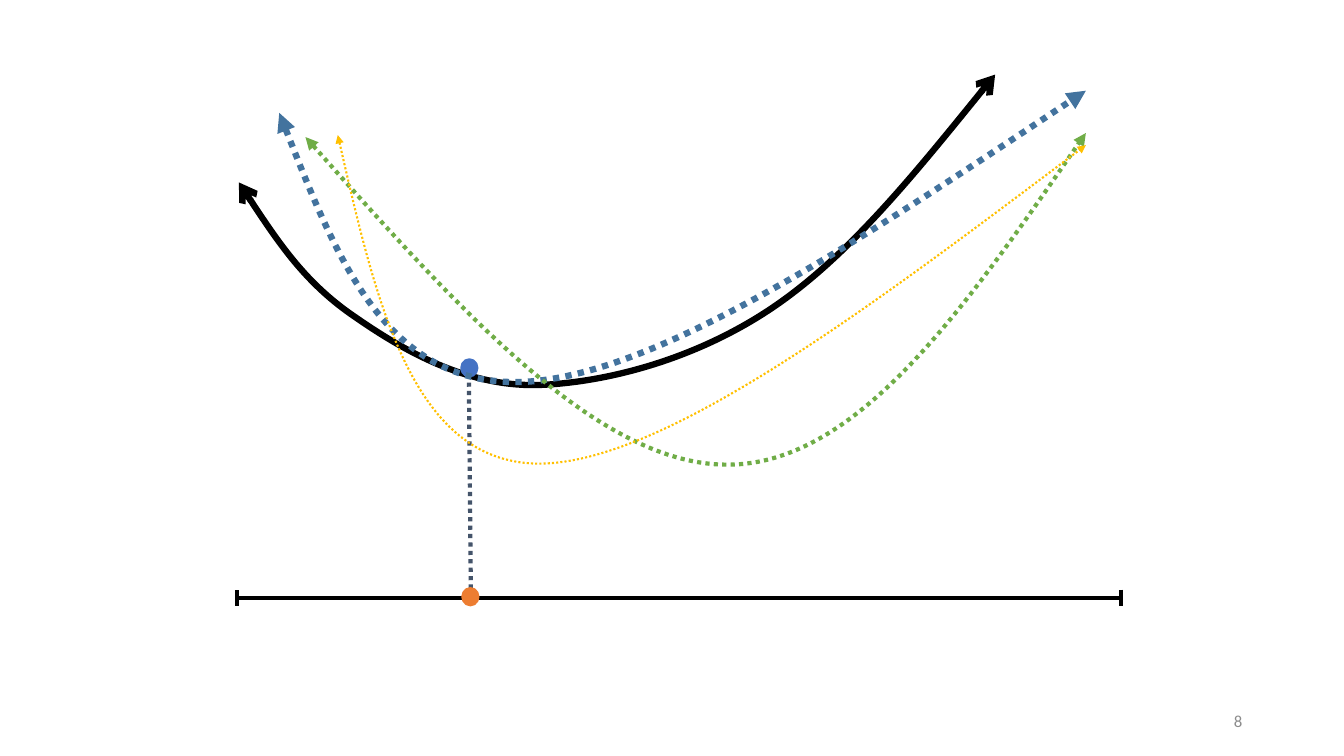
from lxml.etree import SubElement
from pptx import Presentation
from pptx.dml.color import RGBColor
from pptx.enum.dml import MSO_LINE
from pptx.enum.shapes import MSO_CONNECTOR, MSO_SHAPE
from pptx.enum.text import MSO_ANCHOR, PP_ALIGN
from pptx.oxml.ns import qn
from pptx.util import Inches, Pt

COLORS = {
    "black": "000000",
    "slate": "44546A",
    "blue": "4472C4",
    "orange": "ED7D31",
    "steel": "43739E",
    "green": "70AD47",
    "gold": "FFC000",
    "gray": "8C8C8C",
}


def style_line(shape, color, width, dash=None, arrow=None):
    """Format the outline without a shadow; arrow names the head at both ends."""
    shape.line.color.rgb = RGBColor.from_string(COLORS[color])
    shape.line.width = Pt(width)
    if dash:
        shape.line.dash_style = dash
    properties = shape._element.spPr
    if arrow:
        outline = properties.find(qn("a:ln"))
        for end in ("a:headEnd", "a:tailEnd"):
            SubElement(outline, qn(end), type=arrow)
    SubElement(properties, qn("a:effectLst"))


def add_text(page, text, left, top, width, height, *, size, color, font, align):
    box = page.shapes.add_textbox(Inches(left), Inches(top), Inches(width), Inches(height))
    box.text_frame.word_wrap = True
    box.text_frame.vertical_anchor = MSO_ANCHOR.MIDDLE
    para = box.text_frame.paragraphs[0]
    para.alignment = align
    span = para.add_run()
    span.text = text
    span.font.size = Pt(size)
    span.font.name = font
    span.font.color.rgb = RGBColor.from_string(COLORS[color])


deck = Presentation()
deck.slide_width, deck.slide_height = Inches(13.33), Inches(7.5)
page = deck.slides.add_slide(deck.slide_layouts[6])
shapes = page.shapes

# Axis with its end marks
end_marks = shapes.add_shape(
    MSO_SHAPE.DOUBLE_BRACKET, Inches(2.35), Inches(5.85), Inches(8.77), Inches(0.16)
)
end_marks.adjustments[0] = 0
end_marks.fill.background()
style_line(end_marks, "black", 3)
axis = shapes.add_connector(
    MSO_CONNECTOR.STRAIGHT, Inches(2.35), Inches(5.93), Inches(11.12), Inches(5.93)
)
axis.begin_connect(end_marks, 1)
axis.end_connect(end_marks, 3)
style_line(axis, "black", 3)

# Each curve: a start point, then three Bezier points per segment
DOTTED = MSO_LINE.ROUND_DOT
curves = [
    ("black", 4.5, None, "arrow",
     [(2.37, 1.81), (2.7, 2.32), (3.04, 2.82), (3.53, 3.15),
      (4.02, 3.49), (4.63, 3.83), (5.32, 3.82),
      (6, 3.8), (6.89, 3.57), (7.65, 3.06),
      (8.41, 2.55), (9.14, 1.64), (9.87, 0.74)]),
    ("steel", 4.5, DOTTED, "triangle",
     [(2.77, 1.12), (3.3, 2.47), (3.83, 3.82), (5.16, 3.79),
      (6.49, 3.75), (8.63, 2.32), (10.77, 0.9)]),
    ("green", 3, DOTTED, "triangle",
     [(3.03, 1.36), (4.48, 2.99), (5.93, 4.62), (7.22, 4.61),
      (8.51, 4.61), (9.64, 2.96), (10.77, 1.32)]),
    ("gold", 1.5, DOTTED, "triangle",
     [(3.35, 1.34), (3.72, 2.96), (4.09, 4.58), (5.33, 4.6),
      (6.57, 4.61), (8.67, 3.02), (10.77, 1.44)]),
]
dots = [("blue", 4.58, 3.57), ("orange", 4.59, 5.84)]

for color, width, dash, arrow, points in curves:
    start, *rest = [(Inches(x), Inches(y)) for x, y in points]
    builder = shapes.build_freeform(*start)
    builder.add_line_segments(rest, close=False)
    curve = builder.convert_to_shape()
    curve.fill.background()
    style_line(curve, color, width, dash, arrow)

    # Turn every three straight steps into one cubic segment
    outline = next(curve._element.iter(qn("a:path")))
    steps = outline.findall(qn("a:lnTo"))
    for first in range(0, len(steps), 3):
        cubic = SubElement(outline, qn("a:cubicBezTo"))
        for step in steps[first:first + 3]:
            cubic.append(step[0])
            outline.remove(step)

    # The marked point and its drop line lie just above the black curve
    if color == "black":
        drop = shapes.add_connector(
            MSO_CONNECTOR.STRAIGHT, Inches(4.67), Inches(5.84), Inches(4.65), Inches(3.73)
        )
        style_line(drop, "slate", 3, DOTTED)
        for dot_color, left, top in dots:
            dot = shapes.add_shape(
                MSO_SHAPE.OVAL, Inches(left), Inches(top), Inches(0.15), Inches(0.16)
            )
            dot.fill.solid()
            dot.fill.fore_color.rgb = RGBColor.from_string(COLORS[dot_color])
            style_line(dot, dot_color, 2.25)

add_text(page, "8", 9.42, 6.95, 3, 0.4,
         size=12, color="gray", font="Calibri", align=PP_ALIGN.RIGHT)

deck.save("out.pptx")
